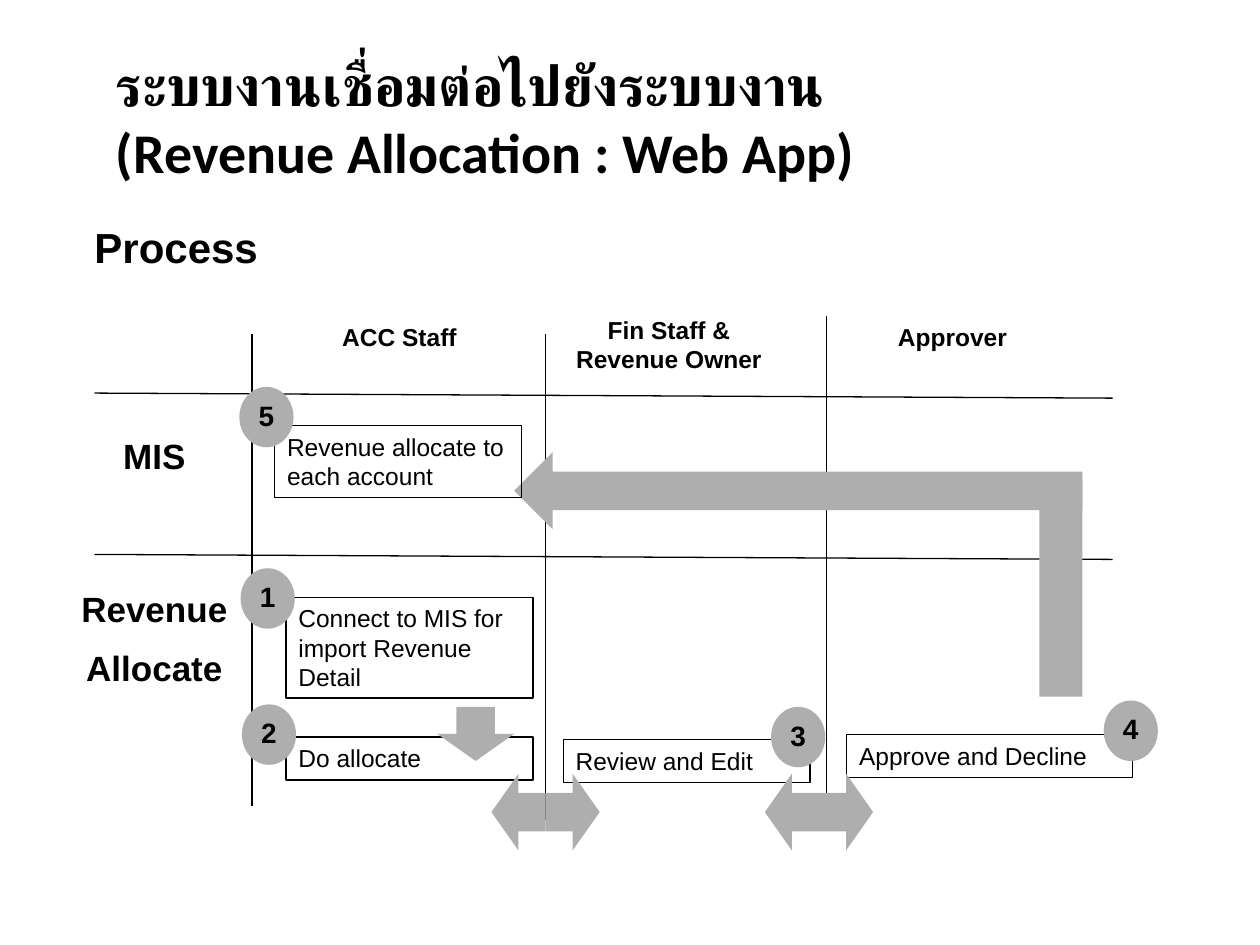
from typing import NamedTuple

from lxml.etree import SubElement
from pptx import Presentation
from pptx.dml.color import RGBColor
from pptx.enum.shapes import MSO_CONNECTOR, MSO_SHAPE
from pptx.enum.text import MSO_ANCHOR, PP_ALIGN
from pptx.oxml.ns import qn
from pptx.util import Inches, Pt

BLACK = "000000"
GRAY = "AEAEAE"
ARROW_LENGTH, ARROW_WIDTH = 0.43, 0.61
BADGE_WIDTH, BADGE_HEIGHT = 0.43, 0.48


class Box(NamedTuple):
    left: float
    top: float
    width: float
    height: float


class Style(NamedTuple):
    size: int
    bold: bool = True
    font: str = "Arial"
    align: PP_ALIGN = PP_ALIGN.CENTER
    line_spacing: float = 1.0
    space_before: float = 0


class Step(NamedTuple):
    text: str
    box: Box
    number: str
    badge_left: float
    badge_top: float


TITLE = Style(32, font="Calibri", align=PP_ALIGN.LEFT)
SUBTITLE = Style(24, align=PP_ALIGN.LEFT, space_before=6)
ROLE = Style(14)
SYSTEM = Style(20, line_spacing=0.9, space_before=12.5)
STEP = Style(14, bold=False, align=PP_ALIGN.LEFT)
BADGE = Style(16, line_spacing=0.9, space_before=10)

ROLES = [
    ("ACC Staff", Box(2.19, 2.51, 1.96, 0.34)),
    ("Fin Staff & Revenue Owner", Box(4.33, 2.45, 1.96, 0.57)),
    ("Approver", Box(6.58, 2.51, 1.96, 0.34)),
]
SYSTEMS = [
    ("MIS", Box(0.45, 3.44, 1.55, 0.4)),
    ("Revenue\nAllocate", Box(0.45, 4.65, 1.55, 0.87)),
]
COLUMN_LINES = [(2, 2.65, 6.4), (4.33, 2.65, 6.51), (6.56, 2.51, 6.37)]
ROW_LINES = [3.12, 4.4]
STEPS = [
    Step("Connect to MIS for import Revenue Detail",
         Box(2.27, 4.74, 1.96, 0.8), "1", 1.91, 4.51),
    Step("Do allocate", Box(2.27, 5.85, 1.96, 0.34), "2", 1.92, 5.59),
    Step("Review and Edit", Box(4.47, 5.87, 1.96, 0.34), "3", 6.12, 5.61),
    Step("Approve and Decline", Box(6.72, 5.83, 2.27, 0.34), "4", 8.76, 5.56),
]
FINAL_STEP = Step("Revenue allocate to each account",
                  Box(2.18, 3.38, 1.96, 0.57), "5", 1.9, 3.07)


def color(hex_value: str) -> RGBColor:
    return RGBColor.from_string(hex_value)


def lengths(box: Box) -> list:
    return [Inches(value) for value in box]


def write(frame, text: str, style: Style, wrap: bool = True) -> None:
    frame.word_wrap = wrap
    frame.text = text
    for paragraph in frame.paragraphs:
        paragraph.alignment = style.align
        paragraph.line_spacing = style.line_spacing
        paragraph.space_before = Pt(style.space_before)
        paragraph.font.name = style.font
        paragraph.font.size = Pt(style.size)
        paragraph.font.bold = style.bold
        paragraph.font.color.rgb = color(BLACK)


def add_label(slide, text: str, box: Box, style: Style, inset: bool = True):
    frame = slide.shapes.add_textbox(*lengths(box)).text_frame
    if not inset:
        frame.margin_left = frame.margin_right = 0
        frame.margin_top = frame.margin_bottom = 0
    write(frame, text, style)
    return frame


def add_rule(slide, x1: float, y1: float, x2: float, y2: float) -> None:
    rule = slide.shapes.add_connector(
        MSO_CONNECTOR.STRAIGHT, Inches(x1), Inches(y1), Inches(x2), Inches(y2))
    rule.line.color.rgb = color(BLACK)
    rule.line.width = Pt(0.75)
    SubElement(rule._element.spPr, qn("a:effectLst"))


def add_solid(slide, kind: MSO_SHAPE, box: Box, rotation: int = 0):
    """Add a gray shape without an outline."""
    solid = slide.shapes.add_shape(kind, *lengths(box))
    solid.shadow.inherit = False
    solid.fill.solid()
    solid.fill.fore_color.rgb = color(GRAY)
    solid.line.fill.background()
    solid.rotation = rotation
    return solid


def add_arrow(slide, left: float, top: float, length: float = ARROW_LENGTH,
              rotation: int = 0) -> None:
    add_solid(slide, MSO_SHAPE.RIGHT_ARROW,
              Box(left, top, length, ARROW_WIDTH), rotation)


def add_two_way_arrow(slide, center: float, top: float) -> None:
    add_arrow(slide, center - ARROW_LENGTH, top, rotation=180)
    add_arrow(slide, center, top)


def add_step_box(slide, step: Step) -> None:
    outline = slide.shapes.add_shape(MSO_SHAPE.RECTANGLE, *lengths(step.box))
    outline.shadow.inherit = False
    outline.fill.background()
    outline.line.color.rgb = color(BLACK)
    outline.line.width = Pt(0.75)
    outline.text_frame.vertical_anchor = MSO_ANCHOR.TOP
    write(outline.text_frame, step.text, STEP)


def add_badge(slide, step: Step) -> None:
    badge = add_solid(slide, MSO_SHAPE.FLOWCHART_CONNECTOR,
                      Box(step.badge_left, step.badge_top, BADGE_WIDTH, BADGE_HEIGHT))
    badge.text_frame.vertical_anchor = MSO_ANCHOR.MIDDLE
    write(badge.text_frame, step.number, BADGE, wrap=False)


def add_step(slide, step: Step) -> None:
    add_step_box(slide, step)
    add_badge(slide, step)


def main() -> None:
    presentation = Presentation()
    presentation.slide_width = Inches(10)
    presentation.slide_height = Inches(7.5)
    slide = presentation.slides.add_slide(presentation.slide_layouts[6])

    title = add_label(slide, "ระบบงานเชื่อมต่อไปยังระบบงาน\v(Revenue Allocation : Web App)",
                      Box(0.92, 0.42, 8.29, 1.03), TITLE, inset=False)
    title.vertical_anchor = MSO_ANCHOR.MIDDLE
    add_label(slide, "Process", Box(0.75, 1.76, 8.24, 4.75), SUBTITLE, inset=False)

    for y in ROW_LINES:
        add_rule(slide, 0.75, y, 8.83, y + 0.04)
    for x, top, bottom in COLUMN_LINES:
        add_rule(slide, x, top, x, bottom)
    for text, box in ROLES:
        add_label(slide, text, box, ROLE)
    for text, box in SYSTEMS:
        add_label(slide, text, box, SYSTEM)

    for step in STEPS:
        add_step(slide, step)
    add_arrow(slide, 3.56, 5.52, rotation=90)
    for center in (4.33, 6.5):
        add_two_way_arrow(slide, center, 6.14)

    add_arrow(slide, 4.08, 3.59, length=4.51, rotation=180)
    add_solid(slide, MSO_SHAPE.RECTANGLE, Box(8.25, 3.8, 0.34, 1.73))
    add_step(slide, FINAL_STEP)

    presentation.save("out.pptx")


if __name__ == "__main__":
    main()
